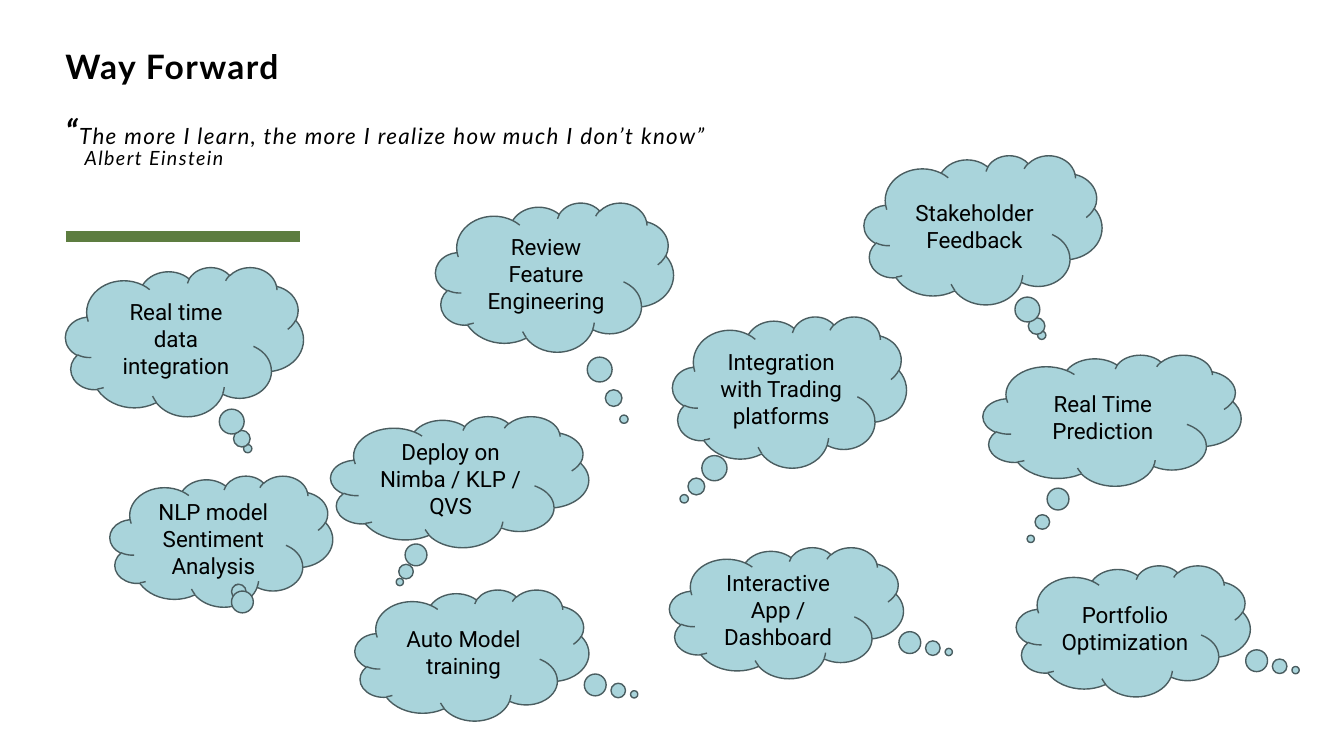
from lxml import etree
from pptx import Presentation
from pptx.dml.color import RGBColor
from pptx.enum import shapes, text
from pptx.oxml.ns import qn
from pptx.util import Inches, Pt

# left, top, width, height, (tail x, tail y), wording
CLOUDS = [
    (9.75, 3.52, 2.56, 1.3, (-0.315, 0.905), "Real Time Prediction"),
    (6.64, 5.43, 2.32, 1.3, (0.694, 0.299), "Interactive App / Dashboard"),
    (4.32, 2.01, 2.36, 1.48, (0.292, 0.952), "Review Feature Engineering"),
    (1.09, 4.72, 2.21, 1.3, (0.073, 0.357), "NLP model Sentiment Analysis"),
    (6.67, 3.14, 2.32, 1.5, (-0.45, 0.706), "Integration with Trading platforms"),
    (8.57, 1.54, 2.36, 1.48, (0.247, 0.707), "Stakeholder Feedback"),
    (0.65, 2.65, 2.36, 1.48, (0.266, 0.717), "Real time data integration"),
    (3.52, 5.85, 2.32, 1.3, (0.694, 0.299), "Auto Model training"),
    (10.08, 5.61, 2.32, 1.3, (0.694, 0.299), "Portfolio Optimization"),
    (3.28, 4.13, 2.56, 1.3, (-0.232, 0.765), "Deploy on Nimba / KLP / QVS"),
]


def color(value):
    return RGBColor.from_string(value)


class Board:
    """The current slide and the style of its elements."""
    heading_font, cloud_font = "Lato", "Roboto"
    ink, cloud_fill, cloud_line, accent = "000000", "A9D4DB", "4A5D60", "5D7D40"

    def __init__(self, slide):
        self.shapes = slide.shapes

    def style(self, span, font, size, bold=False, italic=False):
        span.font.name = font
        span.font.size = Pt(size)
        span.font.bold = bold
        span.font.italic = italic
        span.font.color.rgb = color(self.ink)

    def rule(self, left, right, top, weight):
        line = self.shapes.add_connector(
            shapes.MSO_CONNECTOR.STRAIGHT,
            Inches(left), Inches(top), Inches(right), Inches(top))
        line.line.color.rgb = color(self.accent)
        line.line.width = Pt(weight)
        etree.SubElement(line._element.spPr, qn("a:effectLst"))

    def heading(self, left, top, width, height, lines):
        """Each line is (spans, space after, indent); a span is (words, size, bold, italic)."""
        box = self.shapes.add_textbox(
            Inches(left), Inches(top), Inches(width), Inches(height))
        frame = box.text_frame
        frame.word_wrap = True
        frame.vertical_anchor = text.MSO_ANCHOR.BOTTOM
        frame.margin_left = frame.margin_right = 0
        frame.margin_top = frame.margin_bottom = 0
        for number, (spans, after, indent) in enumerate(lines):
            para = frame.add_paragraph() if number else frame.paragraphs[0]
            para.line_spacing = 0.8
            para.space_after = Pt(after)
            para._p.get_or_add_pPr().set("marL", str(Inches(indent)))
            for words, size, bold, italic in spans:
                span = para.add_run()
                span.text = words
                self.style(span, self.heading_font, size, bold, italic)
                span.font._element.set("spc", "100")

    def cloud(self, left, top, width, height, tail, words):
        cloud = self.shapes.add_shape(
            shapes.MSO_SHAPE.CLOUD_CALLOUT,
            Inches(left), Inches(top), Inches(width), Inches(height))
        cloud.adjustments[0], cloud.adjustments[1] = tail
        cloud.shadow.inherit = False
        cloud.fill.solid()
        cloud.fill.fore_color.rgb = color(self.cloud_fill)
        cloud.line.color.rgb = color(self.cloud_line)
        cloud.line.width = Pt(1)
        frame = cloud.text_frame
        frame.word_wrap = True
        frame.vertical_anchor = text.MSO_ANCHOR.MIDDLE
        frame.text = words
        para = frame.paragraphs[0]
        para.alignment = text.PP_ALIGN.CENTER
        self.style(para.runs[0], self.cloud_font, 16)


def main():
    deck = Presentation()
    deck.slide_width, deck.slide_height = Inches(13.33), Inches(7.5)
    board = Board(deck.slides.add_slide(deck.slide_layouts[6]))

    board.rule(0.65, 2.98, 2.35, 8)
    board.heading(0.65, 0.38, 12, 1.3, [
        ([("Way Forward", 24, True, False)], 23, 0),
        ([("“", 24, True, True),
          ("The more I learn, the more I realize how much I don’t know”",
           16, False, True)], 0, 0),
        ([("Albert Einstein", 14, False, True)], 0, 0.19),
    ])
    for cloud in CLOUDS:
        board.cloud(*cloud)

    deck.save("out.pptx")


if __name__ == "__main__":
    main()
